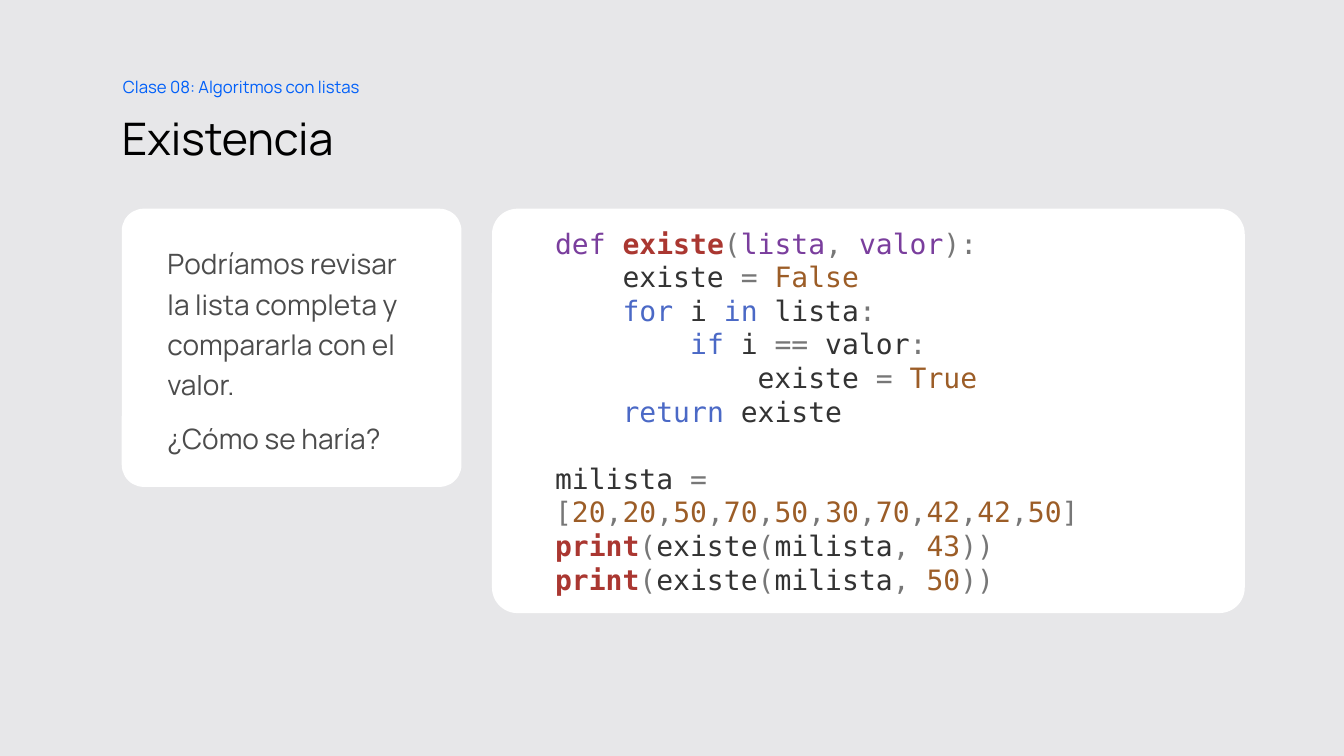
from lxml import etree
from pptx import Presentation
from pptx.dml.color import RGBColor
from pptx.enum.shapes import MSO_SHAPE
from pptx.enum.text import MSO_ANCHOR, PP_ALIGN
from pptx.oxml.ns import qn
from pptx.util import Cm, Pt

ROUNDED = MSO_SHAPE.ROUNDED_RECTANGLE
TOP, MIDDLE = MSO_ANCHOR.TOP, MSO_ANCHOR.MIDDLE
LEFT = PP_ALIGN.LEFT

SANS, MONO = "Manrope", "DejaVu Sans Mono"
COLORS = {
    "background": "E7E7E9",
    "card": "FFFFFF",
    "black": "000000",
    "label": "005FF9",
    "definition": "7A3E9D",
    "function": "AA3731",
    "symbol": "777777",
    "plain": "333333",
    "constant": "9C5D27",
    "keyword": "4B69C6",
}


def set_frame(sp, anchor, left, top, right, bottom):
    """Set wrapping, anchor and insets (cm) and return the text frame."""
    tf = sp.text_frame
    tf.word_wrap = True
    tf.vertical_anchor = anchor
    tf.margin_left, tf.margin_top = Cm(left), Cm(top)
    tf.margin_right, tf.margin_bottom = Cm(right), Cm(bottom)
    return tf


def add_run(p, text, font, size, color):
    r = p.add_run()
    r.text = text
    r.font.name = font
    r.font.size = Pt(size)
    r.font.color.rgb = RGBColor.from_string(COLORS[color])
    return r


prs = Presentation()
prs.slide_width, prs.slide_height = Cm(33.87), Cm(19.05)
s = prs.slides.add_slide(prs.slide_layouts[6])
s.background.fill.solid()
s.background.fill.fore_color.rgb = RGBColor.from_string(COLORS["background"])

# Headings: box, anchor, top inset, line spacing, text, size, colour
headings = [
    ((3.07, 2.54, 27.56, 1.9), MIDDLE, 0.25, 0.9, "Existencia", 32, "black"),
    ((3.1, 1.7, 6.78, 0.86), TOP, 0.13, 1.2, "Clase 08: Algoritmos con listas", 12, "label"),
]
for box, anchor, inset, spacing, text, size, color in headings:
    sp = s.shapes.add_textbox(*[Cm(v) for v in box])
    p = set_frame(sp, anchor, 0, inset, 0.25, 0.13).paragraphs[0]
    p.line_spacing = spacing
    add_run(p, text, SANS, size, color)

# Cards: left, width, height, corner, left inset
frames = []
for left, width, height, corner, inset in [
    (3.07, 8.56, 7.01, 0.079, 0.99),
    (12.4, 18.97, 10.19, 0.063, 1.4),
]:
    sp = s.shapes.add_shape(ROUNDED, Cm(left), Cm(5.26), Cm(width), Cm(height))
    sp.adjustments[0] = corner
    sp.shadow.inherit = False
    sp.fill.solid()
    sp.fill.fore_color.rgb = RGBColor.from_string(COLORS["card"])
    sp.line.fill.background()
    frames.append(set_frame(sp, MIDDLE, inset, 0, 0.76, 0))
question_tf, code_tf = frames

# Question, in 70 % black
questions = [
    "Podríamos revisar la lista completa y compararla con el valor.",
    "¿Cómo se haría?",
]
for i, text in enumerate(questions):
    p = question_tf.add_paragraph() if i else question_tf.paragraphs[0]
    p.alignment = LEFT
    p.line_spacing = 1.2
    if i:
        p.space_before = Pt(10)
    r = add_run(p, text, SANS, 20, "black")
    color_el = r.font._element.find(".//" + qn("a:srgbClr"))
    etree.SubElement(color_el, qn("a:alpha")).set("val", "70000")

# Code, as coloured tokens
list_tokens = []
for value in [20, 20, 50, 70, 50, 30, 70, 42, 42, 50]:
    list_tokens += [("constant", str(value)), ("symbol", ",")]
list_tokens[-1] = ("symbol", "]")

code = [
    [("definition", "def "), ("function", "existe"), ("symbol", "("),
     ("definition", "lista"), ("symbol", ", "), ("definition", "valor"), ("symbol", "):")],
    [("plain", "    existe "), ("symbol", "= "), ("constant", "False")],
    [("plain", "    "), ("keyword", "for"), ("plain", " i "), ("keyword", "in"),
     ("plain", " lista"), ("symbol", ":")],
    [("plain", "        "), ("keyword", "if"), ("plain", " i "), ("symbol", "=="),
     ("plain", " valor"), ("symbol", ":")],
    [("plain", "            existe "), ("symbol", "= "), ("constant", "True")],
    [("plain", "    "), ("keyword", "return"), ("plain", " existe")],
    [("plain", "milista "), ("symbol", "= [")] + list_tokens,
]
main_line = len(code) - 1
for wanted in ["43", "50"]:
    code.append([("function", "print"), ("symbol", "("), ("plain", "existe"), ("symbol", "("),
                 ("plain", "milista"), ("symbol", ", "), ("constant", wanted), ("symbol", "))")])

for i, tokens in enumerate(code):
    p = code_tf.add_paragraph() if i else code_tf.paragraphs[0]
    p.alignment = LEFT
    if i == main_line:
        p.space_before = Pt(24)
    for kind, text in tokens:
        r = add_run(p, text, MONO, 20, kind)
        r.font.bold = kind == "function"

prs.save("out.pptx")
